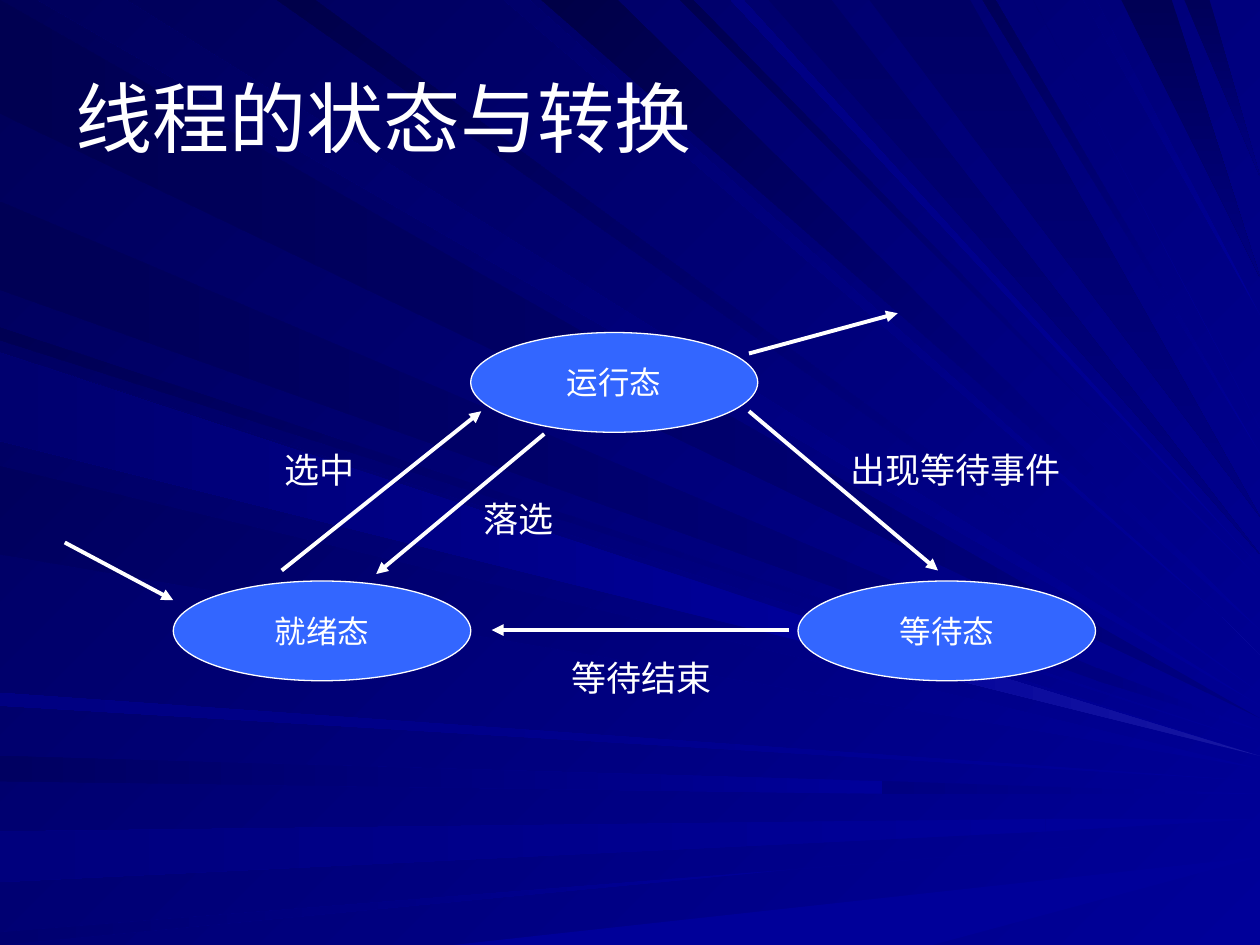
from lxml.etree import SubElement
from pptx import Presentation
from pptx.dml.color import RGBColor
from pptx.enum.shapes import MSO_CONNECTOR as Connector, MSO_SHAPE as Shape
from pptx.enum.text import MSO_ANCHOR as Anchor, PP_ALIGN as Align
from pptx.oxml.ns import qn
from pptx.util import Pt

WIDTH, HEIGHT = 720, 540
FLOOR = 75  # height of the slide in percent of its width

COLOURS = {"white": "FFFFFF", "state": "3366FF", "glow2": "0F0F9F", "glow3": "1717A2"}
# Navy shades are keyed by their blue level
NAVY = "47 4A 4F 51 53 55 58 59 5D 61 65 6B 6F 79 7D 80 82 99"
COLOURS.update({level: "0000" + level for level in NAVY.split()})

DIRECTIONS = {"across": 180, "diagonal": 225, "down": 90}

# Light rays: gradient, direction, the two ends of the base, the tip's height on
# the right edge; some also have a bright far part and the share where it starts.
# A base runs along the rim: left edge below 0, top edge above 0, bottom past -FLOOR.
RAYS = [
    ("80 51", "across", -9.3, -0.2, 57),
    ("99 5D", "diagonal", 2.6, 10.1, 56.3),
    ("99 61", "across", -62.3, -59.6, 63.2, "99 80", 0.7),
    ("99 7D", "across", -70.4, -66.5, 65, "99 99", 0.83),
    ("99 6F", "across", -75, -73.5, 66.2, "99 99", 0.63),
    ("99 99", "across", -149, -111, 68),
    ("99 53", "diagonal", -27, -25.8, 58.9),
    ("80 55", "across", -22.8, -15.9, 58.5, "99 80", 0.87),
    ("99 6B", "diagonal", 39.8, 41.6, 52, "glow2 99", 0.95),
    ("99 47", "diagonal", 42.6, 49.2, 50),
    ("99 4F", "diagonal", 54, 55.2, 46),
    ("65 80", "down", 60.6, 66.1, 44.5),
    ("55 80", "down", 88.7, 93, 22),
    ("59 80", "down", 93.9, 96.4, 14),
    ("99 61", "diagonal", -34.2, -27.8, 60),
    ("99 5D", "diagonal", -43.7, -37.4, 60.6),
    ("99 82", "across", -56, -55.2, 62.2),
    ("99 4A", "diagonal", 22.5, 24.7, 55),
    ("99 82", "diagonal", 57.7, 58.8, 45.4),
    ("65 80", "down", 68.6, 77, 41),
    ("99 58", "diagonal", 78.5, 79.2, 35.7),
    ("99 6F", "diagonal", 81.5, 82.4, 33.6),
    ("99 79", "diagonal", 86.5, 87.2, 25.4),
    ("99 6F", "across", -34.7, -28.3, 60.3, "glow3 99", 0.635),
]

# State diagram, in points from the corner of its box
STATES = [("运行态", 233, 11, 164), ("就绪态", 63, 153, 170), ("等待态", 420, 153, 170)]
TRANSITIONS = [
    (275, 69, 179, 149),
    (125, 147, 239, 56),
    (415, 181, 245, 181),
    (392, 56, 500, 147),
    (1, 131, 63, 164),
    (392, 23, 477, 0),
]
LABELS = [
    ("落选", 233, 102, 57, Align.LEFT),
    ("选中", 119.5, 74, 57, Align.LEFT),
    ("等待结束", 251, 192.5, 159, Align.CENTER),
    ("出现等待事件", 443, 74, 136, Align.LEFT),
]


def rgb(name):
    return RGBColor.from_string(COLOURS[name])


def paint(fill, shades, direction="across"):
    first, last = shades.split()
    if first == last:
        fill.solid()
        fill.fore_color.rgb = rgb(first)
        return
    fill.gradient()
    fill.gradient_angle = 360 - DIRECTIONS[direction]
    for stop, shade in zip(fill.gradient_stops, (first, last)):
        stop.color.rgb = rgb(shade)


def write(frame, text, size, align=Align.LEFT, wrap=True, anchor=Anchor.MIDDLE):
    frame.word_wrap = wrap
    frame.vertical_anchor = anchor
    paragraph = frame.paragraphs[0]
    paragraph.alignment = align
    run = paragraph.add_run()
    run.text = text
    for attribute, value in {"name": "Arial", "size": Pt(size)}.items():
        setattr(run.font, attribute, value)
    run.font.color.rgb = rgb("white")


def add_text(slide, box, text, size, **style):
    area = slide.shapes.add_textbox(*map(Pt, box))
    write(area.text_frame, text, size, **style)


def rim_point(place):
    if place >= 0:
        return place, 0
    if place >= -FLOOR:
        return 0, -place
    return -place - FLOOR, FLOOR


def toward(start, end, share):
    return tuple(a + (b - a) * share for a, b in zip(start, end))


def add_ray_part(slide, box, corners, shades, direction):
    left, top, width, _ = box
    outline = slide.shapes.build_freeform(*corners[0], scale=Pt(width) / 100)
    outline.add_line_segments(corners[1:], close=True)
    part = outline.convert_to_shape(Pt(left), Pt(top))
    part.shadow.inherit = False
    part.line.fill.background()
    paint(part.fill, shades, direction)


def add_rays(slide, box):
    for shades, direction, start, end, height, *far in RAYS:
        base, tip = [rim_point(start), rim_point(end)], (100, height)
        if far:
            far_shades, share = far
            middle = [toward(corner, tip, share) for corner in base]
            add_ray_part(slide, box, base + middle[::-1], shades, direction)
            add_ray_part(slide, box, middle + [tip], far_shades, direction)
        else:
            add_ray_part(slide, box, base + [tip], shades, direction)


def add_arrow(slide, start, end):
    arrow = slide.shapes.add_connector(Connector.STRAIGHT, *map(Pt, start + end))
    arrow.line.width = Pt(2.25)
    arrow.line.color.rgb = rgb("white")
    # Arrowhead at the end, and no shadow
    properties = arrow.line._get_or_add_ln()
    SubElement(properties, qn("a:tailEnd"), type="triangle")
    SubElement(properties.getparent(), qn("a:effectLst"))


def add_state_diagram(slide, box):
    left, top, _, _ = box
    # States
    for text, x, y, width in STATES:
        state = slide.shapes.add_shape(
            Shape.OVAL, Pt(left + x), Pt(top + y), Pt(width), Pt(57))
        state.shadow.inherit = False
        paint(state.fill, "state state")
        state.line.color.rgb = rgb("white")
        state.line.width = Pt(0.75)
        write(state.text_frame, text, 18, Align.CENTER, wrap=False)
    # Transitions
    for x1, y1, x2, y2 in TRANSITIONS:
        add_arrow(slide, (left + x1, top + y1), (left + x2, top + y2))
    # Transition labels
    for text, x, y, width, align in LABELS:
        add_text(slide, (left + x, top + y, width, 32), text, 20,
                 align=align, anchor=Anchor.TOP)


def main():
    deck = Presentation()
    deck.slide_width, deck.slide_height = Pt(WIDTH), Pt(HEIGHT)
    slide = deck.slides.add_slide(deck.slide_layouts[6])
    paint(slide.background.fill, "99 58", "diagonal")
    add_rays(slide, (0, 0, WIDTH, HEIGHT))
    add_text(slide, (36, 21.6, 648, 90), "线程的状态与转换", 44)
    add_state_diagram(slide, (36, 179, 590, 224))
    deck.save("out.pptx")


if __name__ == "__main__":
    main()
